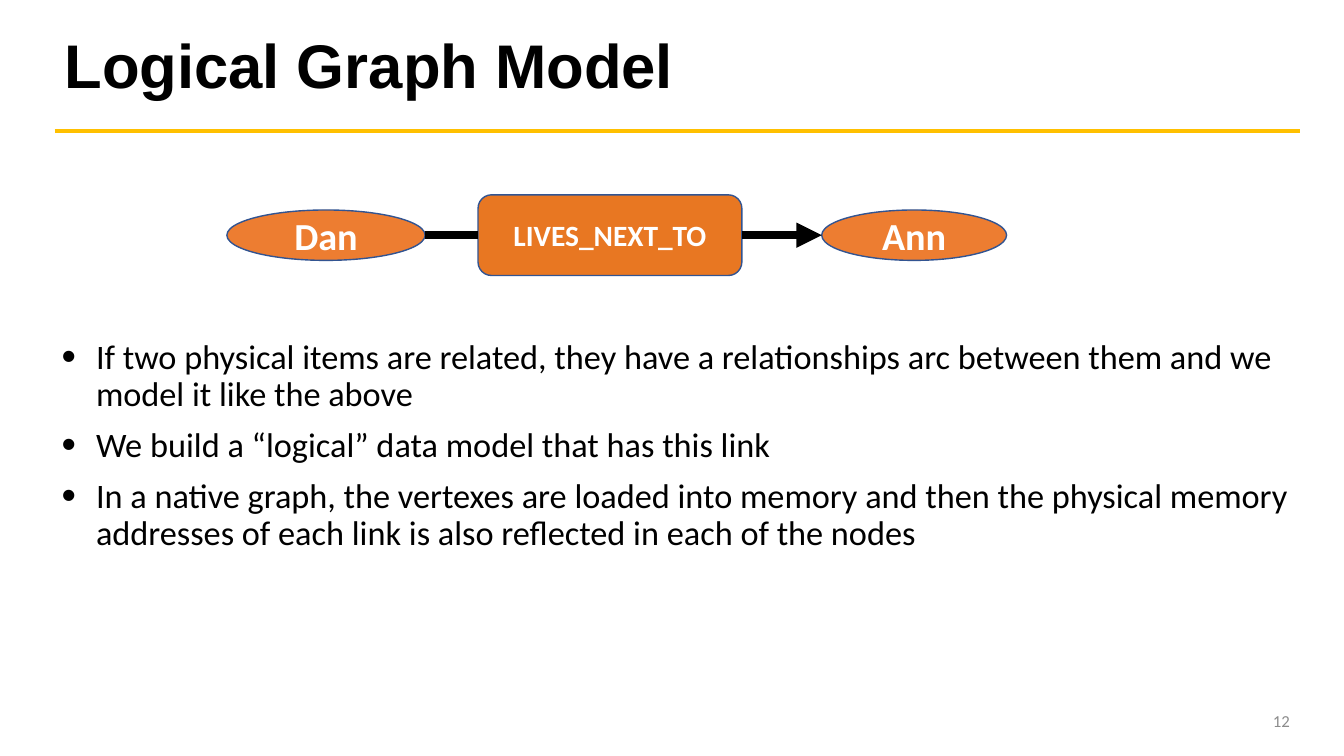
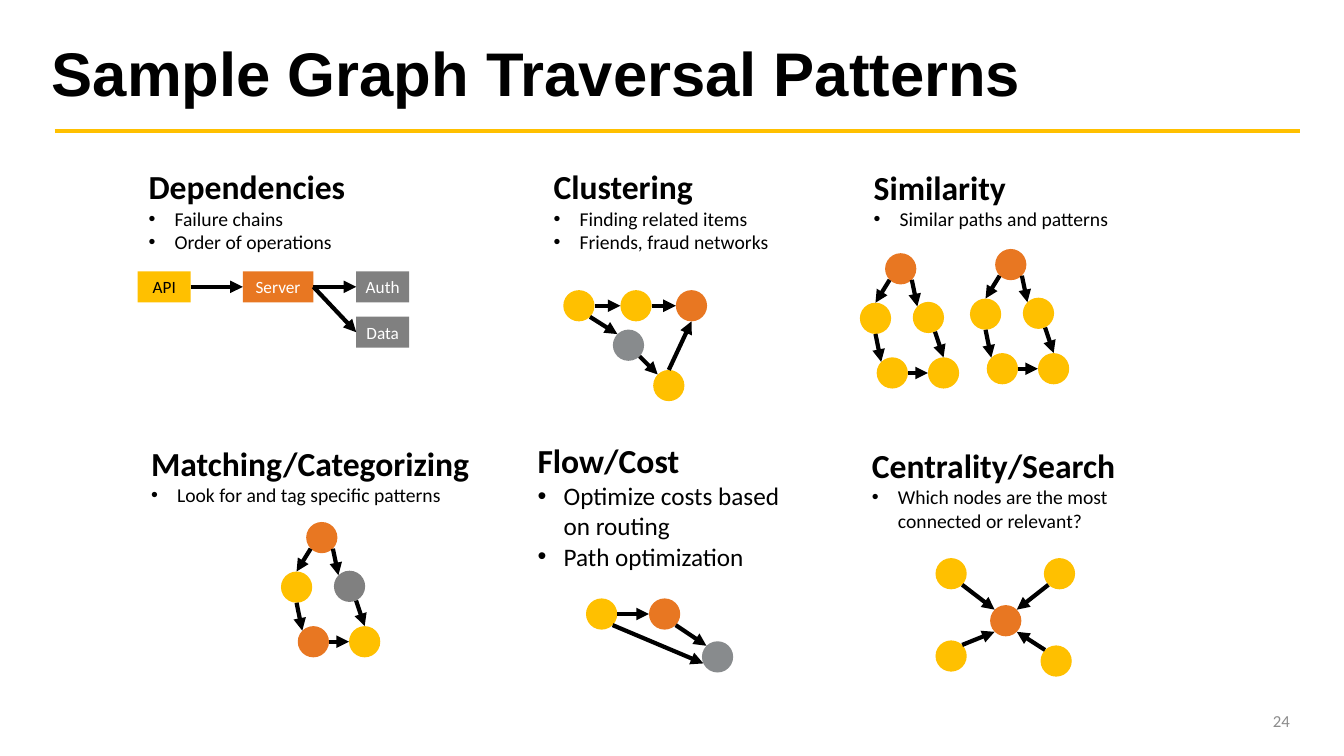
from lxml import etree
from pptx import Presentation
from pptx.dml.color import RGBColor
from pptx.enum.shapes import MSO_CONNECTOR, MSO_SHAPE
from pptx.enum.text import MSO_ANCHOR, PP_ALIGN
from pptx.oxml.ns import qn
from pptx.util import Inches, Pt

BLACK = RGBColor(0x00, 0x00, 0x00)
WHITE = RGBColor(0xFF, 0xFF, 0xFF)
GOLD = RGBColor(0xFF, 0xC0, 0x00)
ORANGE = RGBColor(0xE8, 0x77, 0x22)
LIGHT_ORANGE = RGBColor(0xED, 0x7D, 0x31)
GREY = RGBColor(0x80, 0x80, 0x80)
COOL_GREY = RGBColor(0x88, 0x8B, 0x8D)
PAGE_GREY = RGBColor(0x8C, 0x8C, 0x8C)
NAVY = RGBColor(0x32, 0x54, 0x91)

LEFT, CENTER, RIGHT = PP_ALIGN.LEFT, PP_ALIGN.CENTER, PP_ALIGN.RIGHT
TOP, MIDDLE = MSO_ANCHOR.TOP, MSO_ANCHOR.MIDDLE
OVAL, RECT = MSO_SHAPE.OVAL, MSO_SHAPE.RECTANGLE
ROUNDED, STRAIGHT = MSO_SHAPE.ROUNDED_RECTANGLE, MSO_CONNECTOR.STRAIGHT

prs = Presentation()
prs.slide_width, prs.slide_height = Inches(13.33), Inches(7.5)
CELL = prs.slide_height / 90  # square grid: 160 columns by 90 rows


def add_box(s, at, paras=(), preset=None, fill=None, outline=None, color=BLACK,
            font="Calibri", align=LEFT, anchor=TOP, inset=(7.2, 3.6),
            spacing=None, gap=0):
    """Add a shape, or a text box if preset is None.

    at is left, top, width, height in cells; each paragraph is
    (text, size, bold, bullet), bullet being None or (indent, percent).
    """
    frame = [round(v * CELL) for v in at]
    if preset is None:
        sp = s.shapes.add_textbox(*frame)
    else:
        sp = s.shapes.add_shape(preset, *frame)
        sp.shadow.inherit = False
        sp.fill.solid()
        sp.fill.fore_color.rgb = fill
        if outline is None:
            sp.line.fill.background()
        else:
            sp.line.color.rgb = outline
            sp.line.width = Pt(1)
    tf = sp.text_frame
    tf.word_wrap = True
    tf.vertical_anchor = anchor
    tf.margin_left = tf.margin_right = Pt(inset[0])
    tf.margin_top = tf.margin_bottom = Pt(inset[1])
    for i, (text, size, bold, bullet) in enumerate(paras):
        p = tf.add_paragraph() if i else tf.paragraphs[0]
        if bullet:
            indent, percent = bullet
            pPr = p._p.get_or_add_pPr()
            pPr.set("marL", str(round(indent * CELL)))
            pPr.set("indent", str(-round(indent * CELL)))
            etree.SubElement(pPr, qn("a:buSzPct"), val=str(percent * 1000))
            etree.SubElement(pPr, qn("a:buFont"), typeface="Arial")
            etree.SubElement(pPr, qn("a:buChar"), char="•")
        p.alignment = align
        if spacing:
            p.line_spacing = spacing
        if i and gap:
            p.space_before = Pt(gap)
        r = p.add_run()
        r.text = text
        r.font.name, r.font.size, r.font.bold = font, Pt(size), bold
        r.font.color.rgb = color


def add_line(s, start, end, width=3, color=BLACK, arrow=True):
    """Draw a straight line between two (column, row) points."""
    line = s.shapes.add_connector(
        STRAIGHT, *[round(v * CELL) for v in (*start, *end)])
    line.line.color.rgb = color
    line.line.width = Pt(width)
    if arrow:
        etree.SubElement(line.line._get_or_add_ln(), qn("a:tailEnd"), type="triangle")
    etree.SubElement(line._element.spPr, qn("a:effectLst"))


# Title, rule and page number
slides = []
for title, left, top, number in [
    ("Logical Graph Model", 6.5, 3.1, "12"),
    ("Sample Graph Traversal Patterns", 5, 4.1, "24"),
]:
    s = prs.slides.add_slide(prs.slide_layouts[6])
    slides.append(s)
    add_line(s, (6.5, 15.6), (154.7, 15.6), color=GOLD, arrow=False)
    add_box(s, (left, top, 148.1, 10.1), [(title, 44, True, None)],
            font="Arial", anchor=MIDDLE, spacing=0.9)
    add_box(s, (118.7, 83.4, 36, 4.8), [(number, 12, False, None)],
            color=PAGE_GREY, align=RIGHT, anchor=MIDDLE)
model, patterns = slides

# Logical model: two people and their relationship
for text, size, preset, fill, at in [
    ("Dan", 27.3, OVAL, LIGHT_ORANGE, (27, 25, 23.6, 6)),
    ("LIVES_NEXT_TO", 21, ROUNDED, ORANGE, (56.9, 23.2, 31.4, 9.6)),
    ("Ann", 27.3, OVAL, LIGHT_ORANGE, (97.8, 25, 22, 6)),
]:
    add_box(model, at, [(text, size, True, None)], preset, fill, NAVY, WHITE,
            align=CENTER, anchor=MIDDLE)
add_line(model, (88.3, 28), (97.8, 28), width=6)
add_line(model, (50.6, 28), (56.9, 28), width=6, arrow=False)

points = [
    "If two physical items are related, they have a relationships arc between "
    "them and we model it like the above",
    "We build a “logical” data model that has this link",
    "In a native graph, the vertexes are loaded into memory and then the physical "
    "memory addresses of each link is also reflected in each of the nodes",
]
add_box(model, (6.5, 39.6, 148.1, 40.9),
        [(text, 24.5, False, (4.1, 120)) for text in points],
        inset=(5, 5), spacing=0.9, gap=10)

# Pattern headings
for at, heading, size, bullets in [
    ((16.5, 19.2, 26.6, 11.8), "Dependencies", 14,
     ["Failure chains", "Order of operations"]),
    ((64.7, 19.2, 29.4, 11.8), "Clustering", 14,
     ["Finding related items", "Friends, fraud networks"]),
    ((102.8, 19.3, 32.3, 11.8), "Similarity", 14,
     ["Similar paths and patterns"]),
    ((16.8, 52.1, 42.5, 12.5), "Matching/Categorizing", 14,
     ["Look for and tag specific patterns"]),
    ((62.8, 51.8, 34.1, 16.9), "Flow/Cost", 18,
     ["Optimize costs based on routing", "Path optimization"]),
    ((102.6, 52.4, 38.4, 11.8), "Centrality/Search", 14,
     ["Which nodes are the most connected or relevant?"]),
]:
    add_box(patterns, at, [(heading, 24, True, None)]
            + [(text, size, False, (3.1, 100)) for text in bullets])

# Dependency chain
BOX_H, CHAIN_Y, DATA_Y = 3.7, 32.3, 37.7
for text, x, y, width, fill, color in [
    ("API", 16.4, CHAIN_Y, 6.3, GOLD, BLACK),
    ("Server", 28.9, CHAIN_Y, 8.4, ORANGE, WHITE),
    ("Auth", 42.4, CHAIN_Y, 6.3, GREY, WHITE),
    ("Data", 42.4, DATA_Y, 6.3, GREY, WHITE),
]:
    add_box(patterns, (x, y, width, BOX_H), [(text, 12.3, False, None)], RECT, fill,
            color=color, align=CENTER, anchor=MIDDLE, inset=(5, 2.4))
for x1, x2, y2 in [(22.7, 28.9, CHAIN_Y), (37.3, 42.4, CHAIN_Y), (37.3, 42.4, DATA_Y)]:
    add_line(patterns, (x1, CHAIN_Y + BOX_H / 2), (x2, y2 + BOX_H / 2))

# Node graphs: centres with fills, then edges between compass points on the rims
RADIUS = 1.86
RIM = {
    "N": (0, -1), "S": (0, 1), "E": (1, 0), "W": (-1, 0),
    "NE": (0.71, -0.71), "NW": (-0.71, -0.71),
    "SE": (0.71, 0.71), "SW": (-0.71, 0.71),
    "SSE": (0.42, 0.91), "WSW": (-0.91, 0.42),
}
TREE = [(0, 0), (-3, 5.9), (3.3, 5.8), (-1, 12.4), (5.1, 12.4)]
TREE_EDGES = [(0, "SE", 2, "NW"), (0, "SW", 1, "N"), (1, "S", 3, "NW"),
              (2, "SSE", 4, "N"), (3, "E", 4, "W")]
SIMILAR_FILLS = [ORANGE, GOLD, GOLD, GOLD, GOLD]
MATCH_FILLS = [ORANGE, GOLD, GREY, ORANGE, GOLD]

clustering = (
    [(68.9, 36.4, GOLD), (75.7, 36.4, GOLD), (82.3, 36.4, ORANGE),
     (74.8, 41.1, COOL_GREY), (79.6, 45.9, GOLD)],
    [(0, "E", 1, "W"), (1, "E", 2, "W"), (0, "SE", 3, "NW"),
     (3, "SE", 4, "NW"), (4, "N", 2, "S")])
flow = (
    [(71.6, 73.1, GOLD), (79.1, 73.1, ORANGE), (85.4, 78.2, COOL_GREY)],
    [(0, "E", 1, "W"), (1, "SE", 2, "NW"), (0, "SE", 2, "WSW")])
centrality = (
    [(119.7, 73.9, ORANGE), (126.1, 68.3, GOLD), (125.7, 78.7, GOLD),
     (113.2, 68.3, GOLD), (113.2, 78.1, GOLD)],
    [(1, "SW", 0, "NE"), (2, "NW", 0, "SE"), (3, "SE", 0, "NW"), (4, "NE", 0, "SW")])
graphs = [clustering, flow, centrality]
for root_x, root_y, fills in [(107.2, 32, SIMILAR_FILLS), (120.3, 31.5, SIMILAR_FILLS),
                              (38.3, 64, MATCH_FILLS)]:
    nodes = [(root_x + dx, root_y + dy, fill) for (dx, dy), fill in zip(TREE, fills)]
    graphs.append((nodes, TREE_EDGES))

for nodes, edges in graphs:
    for x, y, fill in nodes:
        add_box(patterns, (x - RADIUS, y - RADIUS, 2 * RADIUS, 2 * RADIUS),
                preset=OVAL, fill=fill)
    for edge in edges:
        start, end = [
            (nodes[n][0] + RADIUS * RIM[side][0], nodes[n][1] + RADIUS * RIM[side][1])
            for n, side in (edge[:2], edge[2:])]
        add_line(patterns, start, end)

prs.save("out.pptx")
